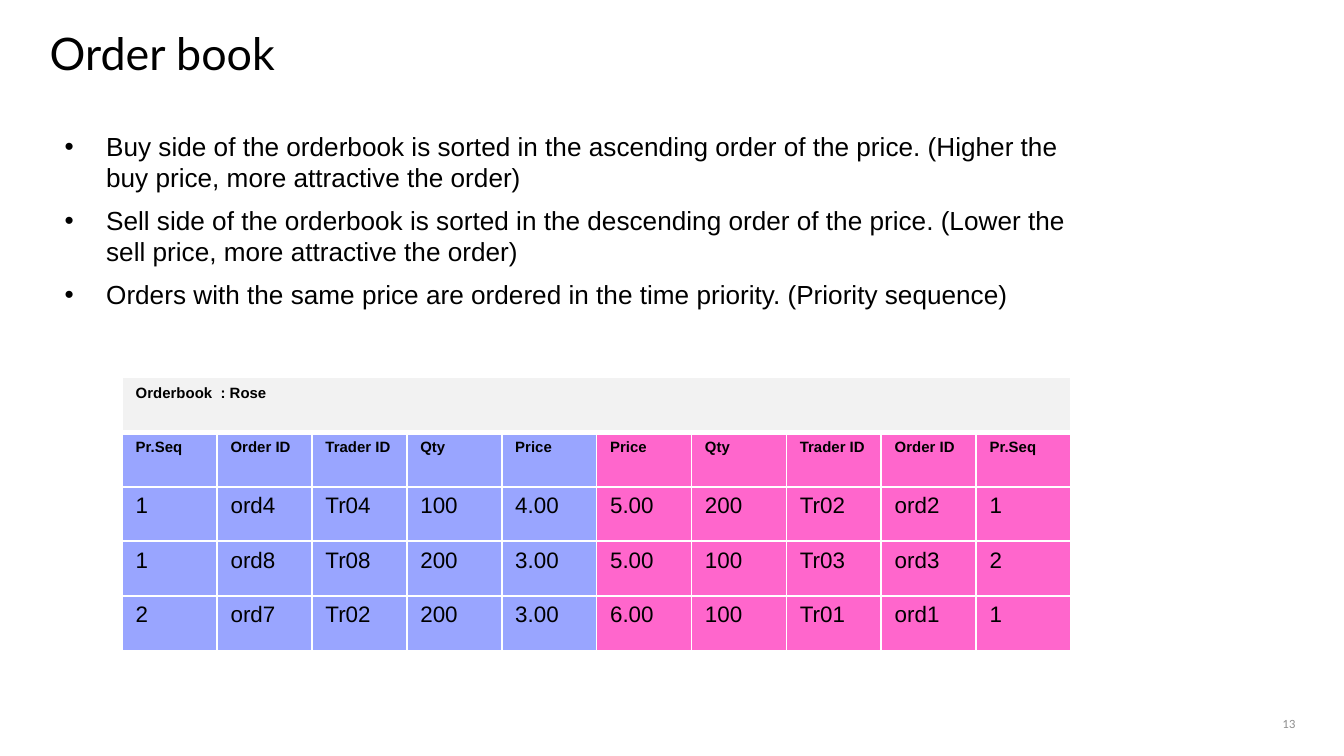
from lxml.etree import SubElement
from pptx import Presentation
from pptx.dml.color import RGBColor
from pptx.enum.text import MSO_ANCHOR as Anchor, PP_ALIGN as Align
from pptx.oxml import parse_xml
from pptx.oxml.ns import nsdecls, qn
from pptx.util import Inches, Pt

TITLE_ONLY = 5
PAGE_WIDTH = Inches(10)
PAGE_HEIGHT = PAGE_WIDTH * 9 // 16
BLACK, WHITE, GREY, BAND = "000000", "FFFFFF", "8C8C8C", "F2F2F2"
BUY, SELL = "99A5FF", "FF66CC"

RULES = [
    "Buy side of the orderbook is sorted in the ascending order of the price. "
    "(Higher the buy price, more attractive the order)",
    "Sell side of the orderbook is sorted in the descending order of the price. "
    "(Lower the sell price, more attractive the order)",
    "Orders with the same price are ordered in the time priority. (Priority sequence)",
]
SIDE_HEADS = ["Pr.Seq", "Order ID", "Trader ID", "Qty", "Price"]
ORDERS = [
    ["1", "ord4", "Tr04", "100", "4.00", "5.00", "200", "Tr02", "ord2", "1"],
    ["1", "ord8", "Tr08", "200", "3.00", "5.00", "100", "Tr03", "ord3", "2"],
    ["2", "ord7", "Tr02", "200", "3.00", "6.00", "100", "Tr01", "ord1", "1"],
]


def color(code):
    return RGBColor.from_string(code)


def place(box, left, top, width, height):
    box.left, box.top = Inches(left), Inches(top)
    box.width, box.height = Inches(width), Inches(height)


def prepare_frame(frame, anchor=Anchor.TOP):
    frame.margin_left = frame.margin_right = 0
    frame.margin_top = frame.margin_bottom = 0
    frame.word_wrap = True
    frame.vertical_anchor = anchor


def add_span(para, text, size, font="Arial", code=BLACK, bold=False):
    span = para.add_run()
    span.text = text
    span.font.name, span.font.size, span.font.bold = font, Pt(size), bold
    span.font.color.rgb = color(code)


def add_title(page, text):
    title = page.shapes.title
    place(title, 0.37, 0.19, 9.26, 0.52)
    prepare_frame(title.text_frame)
    para = title.text_frame.paragraphs[0]
    para.alignment = Align.LEFT
    add_span(para, text, 24, "Lato")


def add_page_number(page, text):
    box = page.shapes.add_textbox(Inches(9.24), Inches(5.19), Inches(0.4), Inches(0.25))
    prepare_frame(box.text_frame, Anchor.BOTTOM)
    para = box.text_frame.paragraphs[0]
    para.alignment = Align.RIGHT
    add_span(para, text, 6, "Lato", GREY)


def set_bullet(para, indent):
    props = para._p.get_or_add_pPr()
    props.set("marL", str(Inches(indent)))
    props.set("indent", str(-Inches(indent)))
    SubElement(props, qn("a:buFont")).set("typeface", "Arial")
    SubElement(props, qn("a:buChar")).set("char", "•")


def add_bullets(page, lines):
    box = page.shapes.add_textbox(Inches(0.48), Inches(0.97), Inches(7.48), Inches(2.31))
    frame = box.text_frame
    prepare_frame(frame)
    for index, line in enumerate(lines):
        para = frame.add_paragraph() if index else frame.paragraphs[0]
        para.space_after = Pt(6)
        set_bullet(para, 0.31)
        add_span(para, line, 14)


def set_borders(cell, top=1, bottom=1):
    """Draw white borders; the line elements must precede the cell's fill."""
    props = cell._tc.get_or_add_tcPr()
    widths = {"lnL": 1, "lnR": 1, "lnT": top, "lnB": bottom}
    for index, (side, width) in enumerate(widths.items()):
        props.insert(index, parse_xml(
            f'<a:{side} {nsdecls("a")} w="{Pt(width)}"><a:solidFill>'
            f'<a:srgbClr val="{WHITE}"/></a:solidFill></a:{side}>'))


def fill_cell(cell, text, fill, size, bold, **borders):
    cell.fill.solid()
    cell.fill.fore_color.rgb = color(fill)
    set_borders(cell, **borders)
    if text:
        add_span(cell.text_frame.paragraphs[0], text, size, bold=bold)


def add_order_book(page, caption, rows):
    count = len(rows[0])
    table = page.shapes.add_table(len(rows) + 1, count, Inches(0.91), Inches(2.81),
                                  Inches(7.06), Inches(2.03)).table
    for column in range(count):
        fill_cell(table.cell(0, column), "" if column else caption, BAND, 8, True, bottom=3)
    table.cell(0, 0).merge(table.cell(0, count - 1))

    for number, row in enumerate(rows, start=1):
        heading = number == 1
        for column, text in enumerate(row):
            fill_cell(table.cell(number, column), text,
                      BUY if column < count // 2 else SELL,
                      8 if heading else 12, heading, top=3 if heading else 1)


def main():
    deck = Presentation()
    deck.slide_width, deck.slide_height = PAGE_WIDTH, PAGE_HEIGHT
    page = deck.slides.add_slide(deck.slide_layouts[TITLE_ONLY])
    add_title(page, "Order book")
    add_page_number(page, "13")
    add_bullets(page, RULES)
    add_order_book(page, "Orderbook  : Rose", [SIDE_HEADS + SIDE_HEADS[::-1]] + ORDERS)
    deck.save("out.pptx")


if __name__ == "__main__":
    main()
